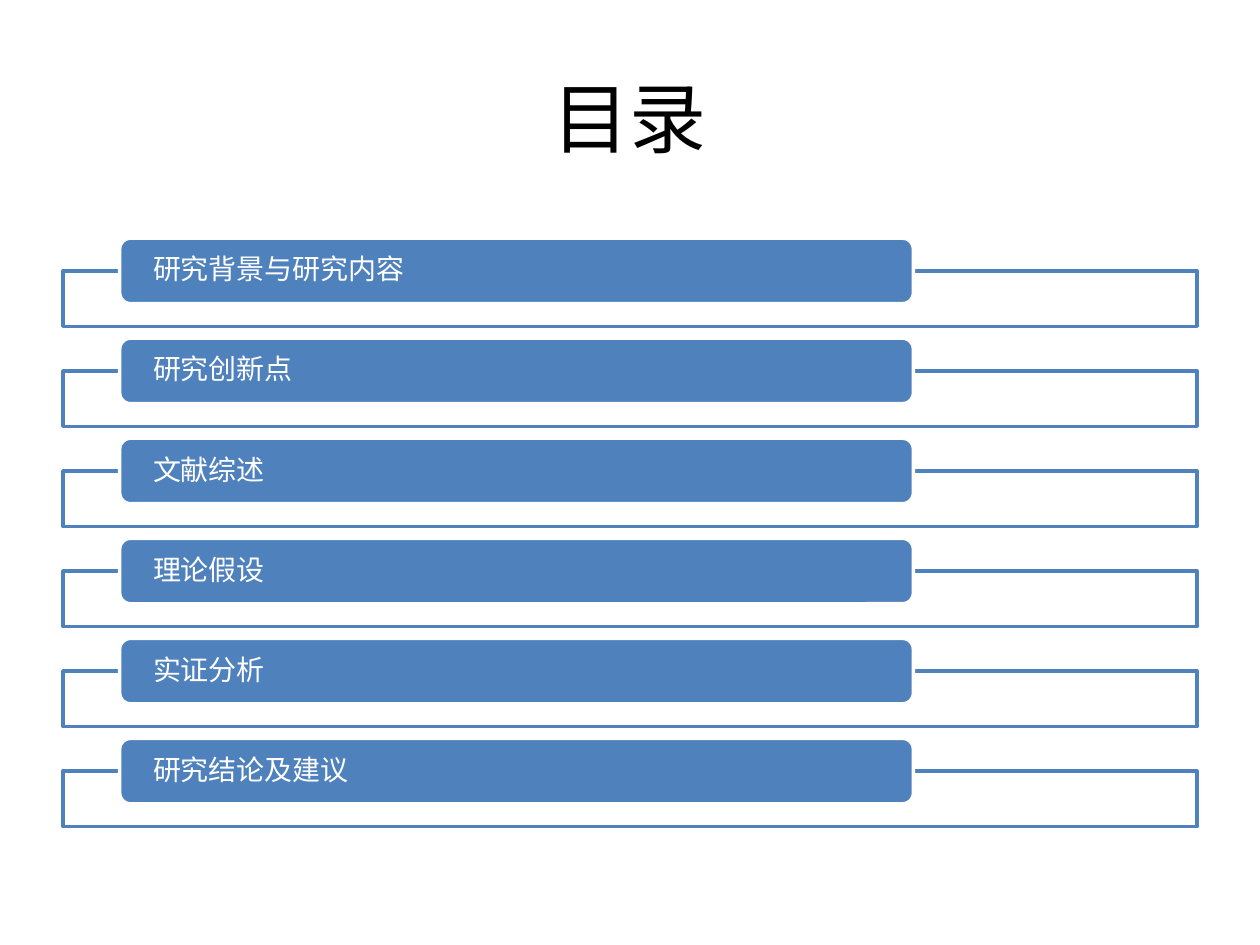
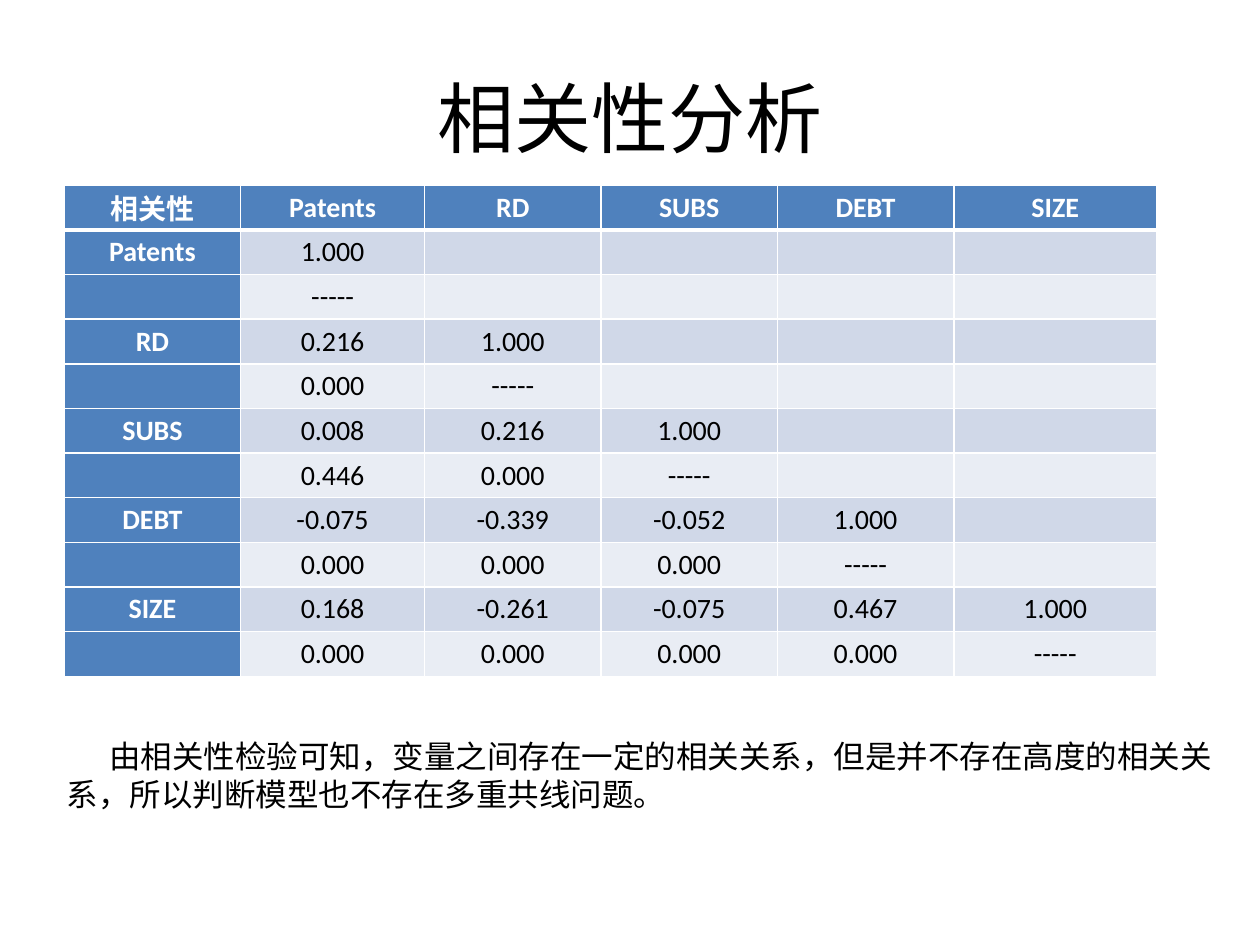
from lxml.etree import SubElement
from pptx import Presentation
from pptx.dml.color import RGBColor
from pptx.enum.shapes import MSO_SHAPE
from pptx.enum.text import MSO_ANCHOR, PP_ALIGN
from pptx.oxml.ns import qn
from pptx.util import Inches, Pt

COLORS = {
    "blue": "4F81BD",
    "white": "FFFFFF",
    "black": "000000",
    "dark": "D0D8E8",
    "light": "E9EDF4",
}
FONT = "Calibri"

TOPICS = ["研究背景与研究内容", "研究创新点", "文献综述", "理论假设", "实证分析", "研究结论及建议"]

WIDTHS = [1.4, 1.46, 1.4, 1.4, 1.4, 1.61]
NAMES = ["Patents", "RD", "SUBS", "DEBT", "SIZE"]
SCORES = [
    ["1.000"],
    ["-----"],
    ["0.216", "1.000"],
    ["0.000", "-----"],
    ["0.008", "0.216", "1.000"],
    ["0.446", "0.000", "-----"],
    ["-0.075", "-0.339", "-0.052", "1.000"],
    ["0.000", "0.000", "0.000", "-----"],
    ["0.168", "-0.261", "-0.075", "0.467", "1.000"],
    ["0.000", "0.000", "0.000", "0.000", "-----"],
]
NOTE = "由相关性检验可知，变量之间存在一定的相关关系，但是并不存在高度的相关关系，所以判断模型也不存在多重共线问题。"


def color(name):
    return RGBColor.from_string(COLORS[name])


class Deck:
    def __init__(self):
        self.prs = Presentation()
        self.prs.slide_width = Inches(10)
        self.prs.slide_height = Inches(7.5)
        self.slide = None

    def page(self, title):
        self.slide = self.prs.slides.add_slide(self.prs.slide_layouts[6])
        para = self.text(title, 0.5, 0.3, 9, 1.25, 44, MSO_ANCHOR.MIDDLE)
        para.alignment = PP_ALIGN.CENTER

    def style(self, para, size, ink, bold=False):
        for run in para.runs:
            font = run.font
            font.name = FONT
            font.size = Pt(size)
            font.bold = bold
            font.color.rgb = color(ink)

    def text(self, words, x, y, w, h, size, anchor=MSO_ANCHOR.TOP):
        box = self.slide.shapes.add_textbox(Inches(x), Inches(y), Inches(w), Inches(h))
        frame = box.text_frame
        frame.word_wrap = True
        frame.vertical_anchor = anchor
        frame.text = words
        para = frame.paragraphs[0]
        self.style(para, size, "black")
        return para

    def shape(self, kind, x, y, w, h, fill, line):
        item = self.slide.shapes.add_shape(kind, Inches(x), Inches(y), Inches(w), Inches(h))
        item.shadow.inherit = False
        item.fill.solid()
        item.fill.fore_color.rgb = color(fill)
        item.line.color.rgb = color(line)
        item.line.width = Pt(2)
        return item

    def topic(self, words, y):
        self.shape(MSO_SHAPE.RECTANGLE, 0.5, y + 0.26, 9, 0.44, "white", "blue")
        bar = self.shape(MSO_SHAPE.ROUNDED_RECTANGLE, 0.95, y, 6.3, 0.52, "blue", "white")
        frame = bar.text_frame
        frame.word_wrap = True
        frame.vertical_anchor = MSO_ANCHOR.MIDDLE
        frame.margin_left = frame.margin_right = Inches(0.24)
        frame.margin_top = frame.margin_bottom = 0
        frame.text = words
        para = frame.paragraphs[0]
        para.alignment = PP_ALIGN.LEFT
        para.line_spacing = 0.9
        self.style(para, 16, "white")

    def edges(self, cell, top, bottom):
        props = cell._tc.get_or_add_tcPr()
        for side, width in (("L", 1), ("R", 1), ("T", top), ("B", bottom)):
            edge = SubElement(props, qn(f"a:ln{side}"), w=str(Pt(width)))
            fill = SubElement(edge, qn("a:solidFill"))
            SubElement(fill, qn("a:srgbClr"), val=COLORS["white"])

    def cell(self, cell, words, fill, head, top, bottom):
        self.edges(cell, top, bottom)
        cell.fill.solid()
        cell.fill.fore_color.rgb = color(fill)
        cell.vertical_anchor = MSO_ANCHOR.MIDDLE
        cell.margin_left = cell.margin_right = Inches(0.01)
        cell.margin_top = cell.margin_bottom = Inches(0.01)
        if words:
            cell.text_frame.text = words
            para = cell.text_frame.paragraphs[0]
            para.alignment = PP_ALIGN.CENTER
            self.style(para, 16, "white" if head else "black", head)

    def table(self, rows, x, y, h):
        frame = self.slide.shapes.add_table(
            len(rows), len(WIDTHS), Inches(x), Inches(y), Inches(sum(WIDTHS)), Inches(h)
        )
        grid = frame.table
        for col, width in zip(grid.columns, WIDTHS):
            col.width = Inches(width)
        for r, row in enumerate(rows):
            band = "dark" if r % 2 else "light"
            top = 3 if r == 1 else 1
            bottom = 3 if r == 0 else 1
            for c in range(len(WIDTHS)):
                head = r == 0 or c == 0
                words = row[c] if c < len(row) else ""
                self.cell(grid.cell(r, c), words, "blue" if head else band, head, top, bottom)


def main():
    deck = Deck()

    deck.page("目录")
    first, last = 1.89, 5.86
    step = (last - first) / (len(TOPICS) - 1)
    for i, topic in enumerate(TOPICS):
        deck.topic(topic, first + i * step)

    deck.page("相关性分析")
    rows = [["相关性"] + NAMES]
    for i, score in enumerate(SCORES):
        name = "" if i % 2 else NAMES[i // 2]
        rows.append([name] + score)
    deck.table(rows, 0.51, 1.47, 3.9)
    para = deck.text(NOTE, 0.43, 5.8, 9.29, 1.01, 18)
    para._p.get_or_add_pPr().set("indent", str(Inches(0.34)))

    deck.prs.save("out.pptx")


if __name__ == "__main__":
    main()
